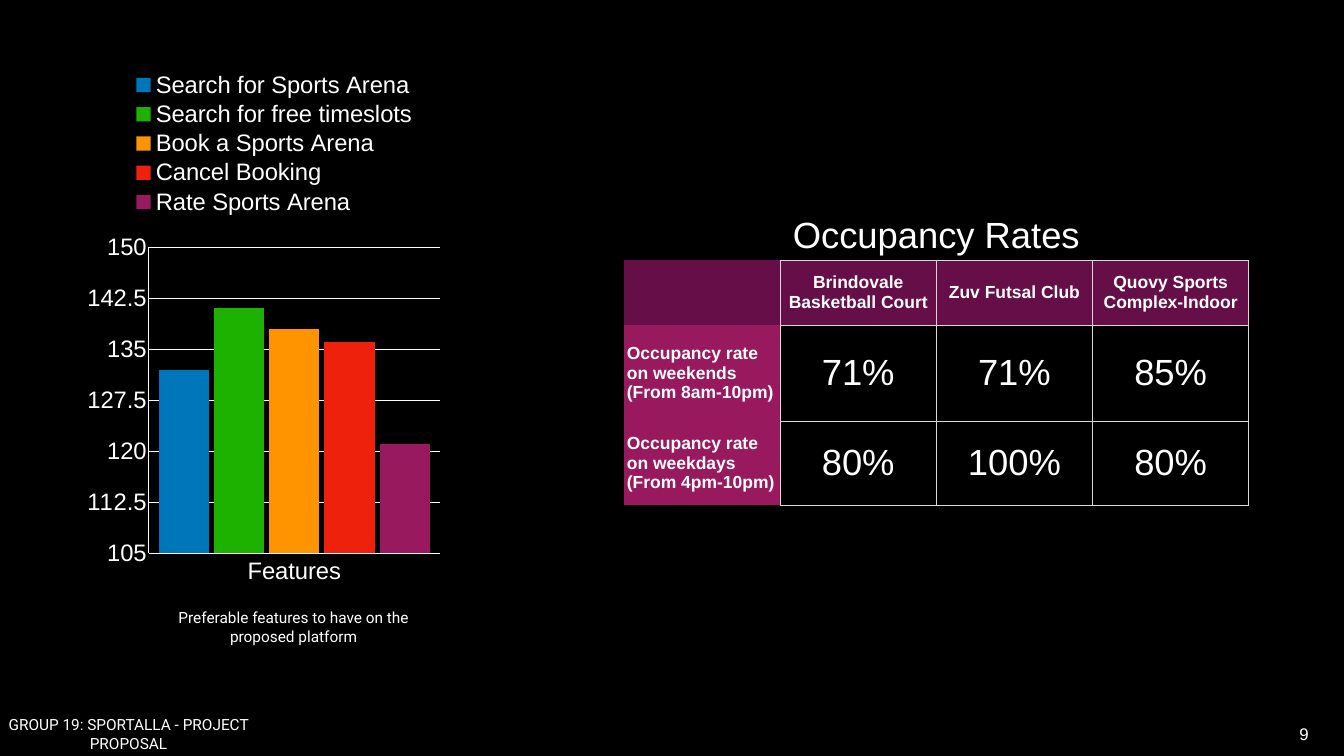
from dataclasses import dataclass

import pptx
import pptx.chart.data
import pptx.dml.color
import pptx.enum.chart
import pptx.enum.shapes
import pptx.enum.text
import pptx.oxml
import pptx.oxml.ns
import pptx.util

EMU_PER_PX = 9144  # 100 px to the inch
INSET = 6
COLORS = {
    "black": "000000",
    "white": "FFFFFF",
    "border": "D6D7D6",
    "header": "650E48",
    "label": "99195E",
}
NO_STYLE = "{2D5ABB26-0587-4C30-8999-92F81FD0307C}"
CENTER = pptx.enum.text.PP_ALIGN.CENTER
LEFT = pptx.enum.text.PP_ALIGN.LEFT
MIDDLE = pptx.enum.text.MSO_ANCHOR.MIDDLE


@dataclass
class Box:
    left: int
    top: int
    width: int
    height: int


@dataclass
class Feature:
    name: str
    votes: int
    color: str


@dataclass
class TextStyle:
    size: int
    font: str = "Arial"
    bold: bool = False
    align: pptx.enum.text.PP_ALIGN = CENTER


FEATURES = [
    Feature("Search for Sports Arena", 132, "0076BA"),
    Feature("Search for free timeslots", 141, "1DB100"),
    Feature("Book a Sports Arena", 138, "FF9300"),
    Feature("Cancel Booking", 136, "EE220C"),
    Feature("Rate Sports Arena", 121, "99195E"),
]
OCCUPANCY = [
    ["", "Brindovale Basketball Court", "Zuv Futsal Club", "Quovy Sports Complex-Indoor"],
    ["Occupancy rate on weekends \v(From 8am-10pm)", "71%", "71%", "85%"],
    ["Occupancy rate on weekdays\v(From 4pm-10pm)", "80%", "100%", "80%"],
]
ROW_HEIGHTS = [97, 129, 191, 167]
COLUMN_WIDTH = 310

TITLE = TextStyle(52)
HEADING = TextStyle(25, bold=True)
ROW_LABEL = TextStyle(25, bold=True, align=LEFT)
SMALL = TextStyle(22, "Roboto")
NUMBER = TextStyle(24)


def px(length: int) -> int:
    return pptx.util.Emu(length * EMU_PER_PX)


def place(box: Box) -> tuple:
    return px(box.left), px(box.top), px(box.width), px(box.height)


def rgb(color: str) -> pptx.dml.color.RGBColor:
    return pptx.dml.color.RGBColor.from_string(color)


def set_font(font, style: TextStyle) -> None:
    font.name = style.font
    font.size = pptx.util.Pt(style.size)
    font.bold = style.bold
    font.color.rgb = rgb(COLORS["white"])


def set_line(line) -> None:
    line.color.rgb = rgb(COLORS["white"])
    line.width = pptx.util.Pt(1)


def write(holder, text: str, style: TextStyle) -> None:
    """Fill a text frame or a table cell, which share the margin names."""
    holder.margin_left = holder.margin_right = px(INSET)
    holder.margin_top = holder.margin_bottom = px(INSET)
    holder.vertical_anchor = MIDDLE
    frame = getattr(holder, "text_frame", holder)
    frame.text = text
    for paragraph in frame.paragraphs:
        paragraph.alignment = style.align
        set_font(paragraph.font, style)


def add_text(slide, box: Box, text: str, style: TextStyle, wrap: bool = True):
    frame = slide.shapes.add_textbox(*place(box)).text_frame
    write(frame, text, style)
    frame.word_wrap = wrap
    return frame


def manual_layout(x: float, y: float, width: float, height: float, inner: bool = False):
    target = '<c:layoutTarget val="inner"/>' if inner else ""
    return pptx.oxml.parse_xml(
        f'<c:layout {pptx.oxml.ns.nsdecls("c")}><c:manualLayout>{target}'
        '<c:xMode val="edge"/><c:yMode val="edge"/>'
        f'<c:x val="{x}"/><c:y val="{y}"/><c:w val="{width}"/><c:h val="{height}"/>'
        "</c:manualLayout></c:layout>"
    )


def add_feature_chart(slide, box: Box) -> None:
    data = pptx.chart.data.CategoryChartData()
    data.categories = ["Features"]
    for feature in FEATURES:
        data.add_series(feature.name, [feature.votes])
    kind = pptx.enum.chart.XL_CHART_TYPE.COLUMN_CLUSTERED
    chart = slide.shapes.add_chart(kind, *place(box), data).chart
    chart.has_title = False
    set_font(chart.font, TextStyle(34))

    # Columns
    plot = chart.plots[0]
    plot.gap_width, plot.overlap, plot.vary_by_categories = 40, -10, False
    for series, feature in zip(plot.series, FEATURES):
        series.format.fill.solid()
        series.format.fill.fore_color.rgb = rgb(feature.color)

    # Axes
    for axis in (chart.category_axis, chart.value_axis):
        axis.major_tick_mark = axis.minor_tick_mark = pptx.enum.chart.XL_TICK_MARK.NONE
        set_font(axis.tick_labels.font, TextStyle(34))
        set_line(axis.format.line)
    chart.category_axis.tick_label_position = pptx.enum.chart.XL_TICK_LABEL_POSITION.LOW
    values = chart.value_axis
    values.minimum_scale, values.maximum_scale, values.major_unit = 105, 150, 7.5
    values.tick_labels.number_format = "General"
    values.tick_labels.number_format_is_linked = False
    set_line(values.major_gridlines.format.line)

    # Legend and plot positions
    chart.has_legend = True
    legend = chart.legend
    legend.position = pptx.enum.chart.XL_LEGEND_POSITION.TOP
    legend.include_in_layout = True
    set_font(legend.font, TextStyle(34))
    legend_position = legend._element.find(pptx.oxml.ns.qn("c:legendPos"))
    legend_position.addnext(manual_layout(0.18, 0, 0.64, 0.28))
    plot_area = chart._chartSpace.chart.plotArea
    for layout in plot_area.findall(pptx.oxml.ns.qn("c:layout")):
        plot_area.remove(layout)
    plot_area.insert(0, manual_layout(0.22, 0.335, 0.65, 0.577, inner=True))


def add_borders(cell) -> None:
    properties = cell._tc.get_or_add_tcPr()
    for index, side in enumerate(("lnL", "lnR", "lnT", "lnB")):
        properties.insert(index, pptx.oxml.parse_xml(
            f'<a:{side} {pptx.oxml.ns.nsdecls("a")} w="12700"><a:solidFill>'
            f'<a:srgbClr val="{COLORS["border"]}"/></a:solidFill></a:{side}>'
        ))


def add_occupancy_table(slide, box: Box) -> None:
    columns = len(OCCUPANCY[0])
    table = slide.shapes.add_table(len(ROW_HEIGHTS), columns, *place(box)).table
    table.first_row = table.horz_banding = False
    table._tbl.tblPr.find(pptx.oxml.ns.qn("a:tableStyleId")).text = NO_STYLE
    for column in table.columns:
        column.width = px(COLUMN_WIDTH)
    for row, height in zip(table.rows, ROW_HEIGHTS):
        row.height = px(height)

    # Title row
    title = table.cell(0, 0)
    title.merge(table.cell(0, columns - 1))
    title.fill.background()
    write(title, "Occupancy Rates", TITLE)

    # Header row, label column and rates
    for row, texts in enumerate(OCCUPANCY):
        for column, text in enumerate(texts):
            cell = table.cell(row + 1, column)
            if row and column:
                cell.fill.background()
                style = TITLE
            else:
                cell.fill.solid()
                cell.fill.fore_color.rgb = rgb(COLORS["label" if row else "header"])
                style = ROW_LABEL if row else HEADING
            write(cell, text, style)
            if column:
                add_borders(cell)


def main() -> None:
    presentation = pptx.Presentation()
    presentation.slide_width, presentation.slide_height = px(2667), px(1500)
    slide = presentation.slides.add_slide(presentation.slide_layouts[6])
    slide.background.fill.solid()
    slide.background.fill.fore_color.rgb = rgb(COLORS["black"])

    # Feature chart with its caption
    add_feature_chart(slide, Box(99, 137, 890, 1054))
    caption = slide.shapes.add_shape(
        pptx.enum.shapes.MSO_SHAPE.ROUNDED_RECTANGLE, *place(Box(293, 1202, 579, 83)))
    caption.adjustments[0] = 0
    caption.shadow.inherit = False
    caption.fill.background()
    caption.line.fill.background()
    write(caption.text_frame, "Preferable features to have on the proposed platform", SMALL)
    caption.text_frame.word_wrap = True

    # Occupancy table
    add_occupancy_table(slide, Box(1238, 419, 1240, 584))

    # Footer and slide number
    footer = add_text(slide, Box(15, 1433, 641, 47),
                      "GROUP 19: SPORTALLA - PROJECT PROPOSAL", SMALL)
    footer.margin_left, footer.margin_right = px(0), px(161)
    add_text(slide, Box(2572, 1431, 31, 50), "9", NUMBER, wrap=False)

    presentation.save("out.pptx")


if __name__ == "__main__":
    main()
